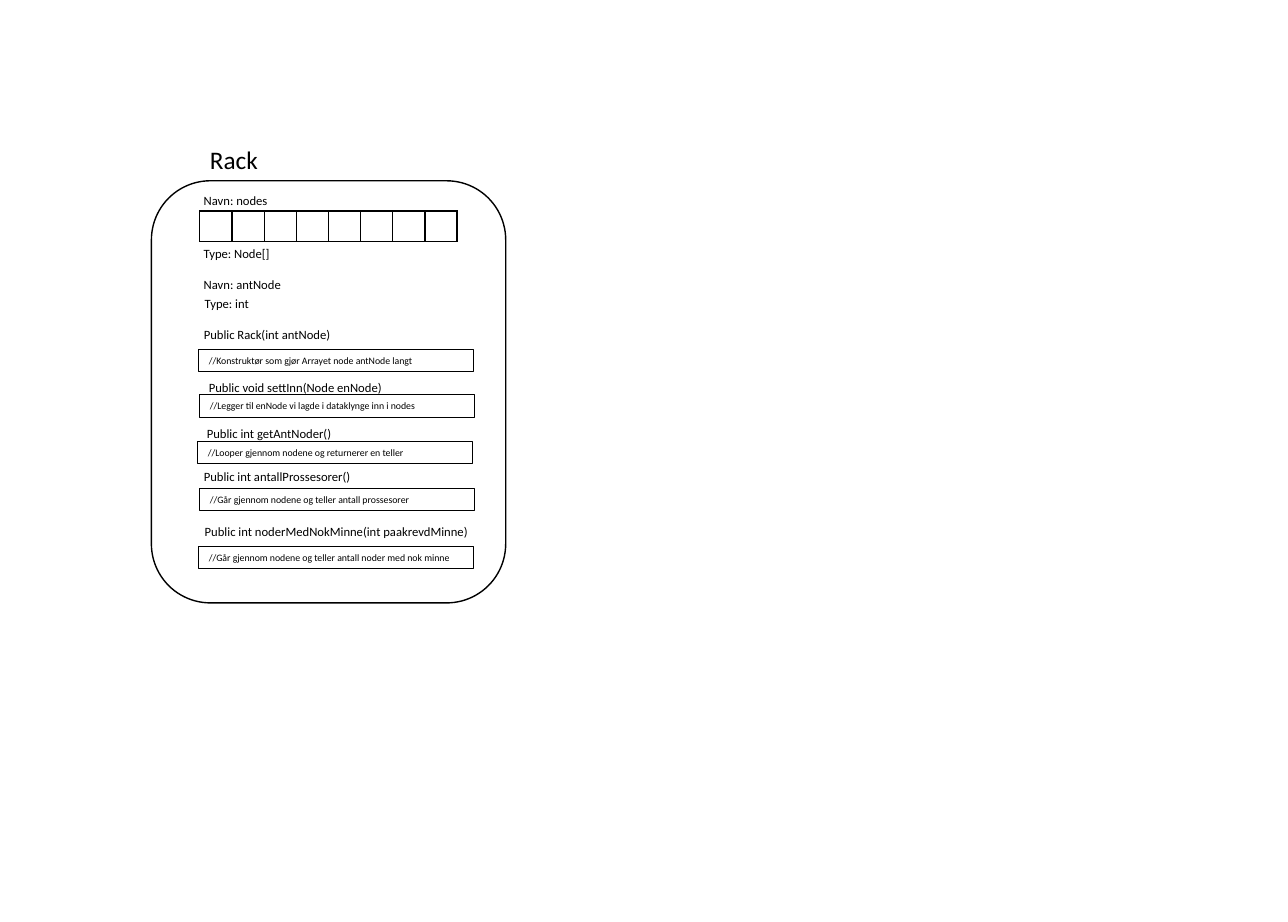
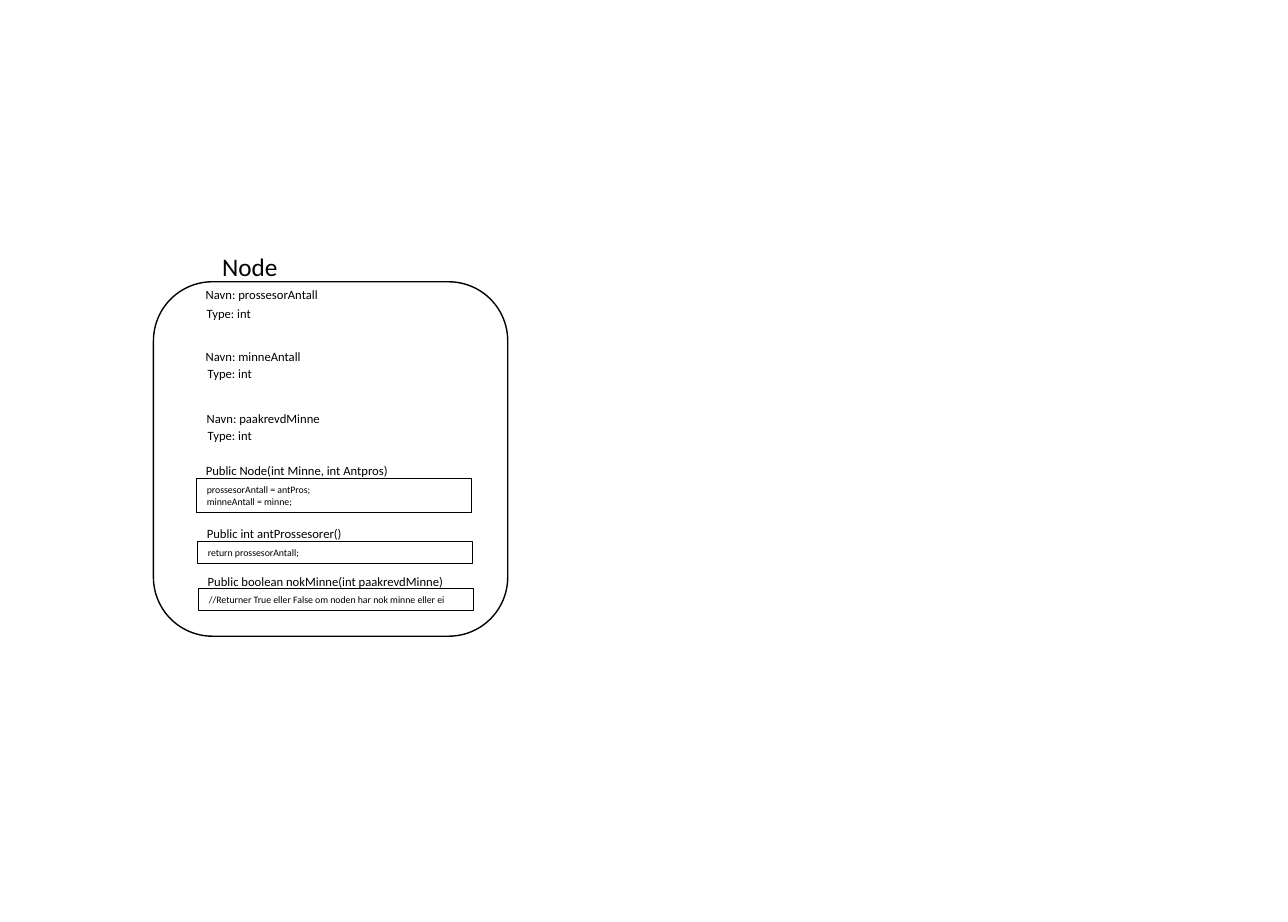
from lxml.etree import SubElement
from pptx import Presentation
from pptx.dml.color import RGBColor
from pptx.enum.shapes import MSO_SHAPE
from pptx.enum.text import MSO_ANCHOR, MSO_AUTO_SIZE, PP_ALIGN
from pptx.oxml import parse_xml
from pptx.oxml.ns import nsdecls, qn
from pptx.util import Inches, Pt

# Shared style
COLORS = {"ink": "000000", "paper": "FFFFFF"}
FONT = "Calibri"
TITLE_PT, LABEL_PT, CODE_PT = 18, 9, 7

# Grid: ten columns and ten rows to the inch
UNIT = 0.1
PANEL_W = 35.1
FIELD_W, LABEL_H = 18, 2.5
CODE_W, CODE_PAD, CODE_LINE = 27.2, 1, 1.2

# Fields: (column, row, text)
RACK_FIELDS = [
    (19.2, 18.6, "Navn: nodes"),
    (19.2, 23.9, "Type: Node[]"),
    (19.2, 26.9, "Navn: antNode"),
    (19.3, 28.8, "Type: int"),
]
NODE_FIELDS = [
    (19.4, 27.9, "Navn: prossesorAntall"),
    (19.5, 29.8, "Type: int"),
    (19.4, 34.1, "Navn: minneAntall"),
    (19.6, 35.7, "Type: int"),
    (19.5, 40.2, "Navn: paakrevdMinne"),
    (19.6, 41.9, "Type: int"),
]

# Methods: (label column, row, width, signature, box column, row, code lines)
RACK_METHODS = [
    (19.2, 31.9, 21.8, "Public Rack(int antNode)",
     19.7, 34.6, ["//Konstruktør som gjør Arrayet node antNode langt"]),
    (19.7, 37.1, 21.8, "Public void settInn(Node enNode)",
     19.8, 39.1, ["//Legger til enNode vi lagde i dataklynge inn i nodes"]),
    (19.5, 41.7, 21.8, "Public int getAntNoder()",
     19.6, 43.7, ["//Looper gjennom nodene og returnerer en teller"]),
    (19.2, 45.9, 21.8, "Public int antallProssesorer()",
     19.8, 48.4, ["//Går gjennom nodene og teller antall prossesorer"]),
    (19.3, 51.4, 31.7, "Public int noderMedNokMinne(int paakrevdMinne)",
     19.7, 54.1, ["//Går gjennom nodene og teller antall noder med nok minne"]),
]
NODE_METHODS = [
    (19.4, 45.3, 21.8, "Public Node(int Minne, int Antpros)",
     19.5, 47.4, ["prossesorAntall = antPros;", "minneAntall = minne;"]),
    (19.5, 51.6, 21.8, "Public int antProssesorer()",
     19.6, 53.6, ["return prossesorAntall;"]),
    (19.6, 56.3, 31.7, "Public boolean nokMinne(int paakrevdMinne)",
     19.7, 58.3, ["//Returner True eller False om noden har nok minne eller ei"]),
]


def grid(*values):
    return [Inches(v * UNIT) for v in values]


def color(name):
    return RGBColor.from_string(COLORS[name])


def write(tf, lines, size):
    """Fill a text frame, one paragraph a line, top left."""
    tf.word_wrap = True
    tf.auto_size = MSO_AUTO_SIZE.SHAPE_TO_FIT_TEXT
    tf.vertical_anchor = MSO_ANCHOR.TOP
    for i, line in enumerate(lines):
        p = tf.add_paragraph() if i else tf.paragraphs[0]
        p.alignment = PP_ALIGN.LEFT
        r = p.add_run()
        r.text = line
        r.font.name, r.font.size = FONT, Pt(size)
        r.font.color.rgb = color("ink")


def add_title(s, x, y, text):
    sp = s.shapes.title
    sp.left, sp.top, sp.width, sp.height = grid(x, y, 9.4, 4)
    write(sp.text_frame, [text], TITLE_PT)


def add_outline(s, kind, x, y, w, h, line_pt):
    sp = s.shapes.add_shape(kind, *grid(x, y, w, h))
    sp.shadow.inherit = False
    sp.fill.background()
    sp.line.color.rgb = color("ink")
    sp.line.width = Pt(line_pt)
    return sp


def add_panel(s, x, y, h):
    sp = add_outline(s, MSO_SHAPE.ROUNDED_RECTANGLE, x, y, PANEL_W, h, 1)
    sp.fill.solid()
    sp.fill.fore_color.rgb = color("paper")


def add_label(s, x, y, text, w=FIELD_W):
    sp = s.shapes.add_textbox(*grid(x, y, w, LABEL_H))
    write(sp.text_frame, [text], LABEL_PT)


def add_method(s, x, y, w, signature, box_x, box_y, lines):
    """A signature and the boxed code below it."""
    h = CODE_PAD + CODE_LINE * len(lines)
    sp = add_outline(s, MSO_SHAPE.RECTANGLE, box_x, box_y, CODE_W, h, 0.75)
    write(sp.text_frame, lines, CODE_PT)
    add_label(s, x, y, signature, w)


def add_array(s, x, y, w, h, count):
    """A row of empty, outlined cells."""
    table = s.shapes.add_table(1, count, *grid(x, y, w, h)).table
    table.first_row = table.horz_banding = False
    for cell in table.iter_cells():
        cell.margin_top = cell.margin_bottom = 0
        cell.fill.background()
        end = SubElement(cell.text_frame.paragraphs[0]._p, qn("a:endParaRPr"))
        end.set("sz", str(LABEL_PT * 100))
        tc_pr = cell._tc.get_or_add_tcPr()
        for i, side in enumerate("LRTB"):
            tc_pr.insert(i, parse_xml(
                f'<a:ln{side} {nsdecls("a")} w="{Pt(1)}"><a:solidFill>'
                f'<a:srgbClr val="{COLORS["ink"]}"/></a:solidFill></a:ln{side}>'))


def add_class(prs, title, panel, fields, methods):
    """One slide with a class: its name, panel, fields and methods."""
    s = prs.slides.add_slide(prs.slide_layouts[5])
    add_title(s, *title)
    add_panel(s, *panel)
    for field in fields:
        add_label(s, *field)
    for method in methods:
        add_method(s, *method)
    return s


def main():
    prs = Presentation()
    prs.slide_width, prs.slide_height = Inches(12.76), Inches(9.13)
    rack = add_class(prs, (19.8, 13.8, "Rack"), (15, 17.9, 41.8),
                     RACK_FIELDS, RACK_METHODS)
    add_array(rack, 19.8, 20.9, 25.5, 3.05, 8)
    add_class(prs, (21, 24.4, "Node"), (15.2, 27.9, 35.1),
              NODE_FIELDS, NODE_METHODS)
    prs.save("out.pptx")


if __name__ == "__main__":
    main()
